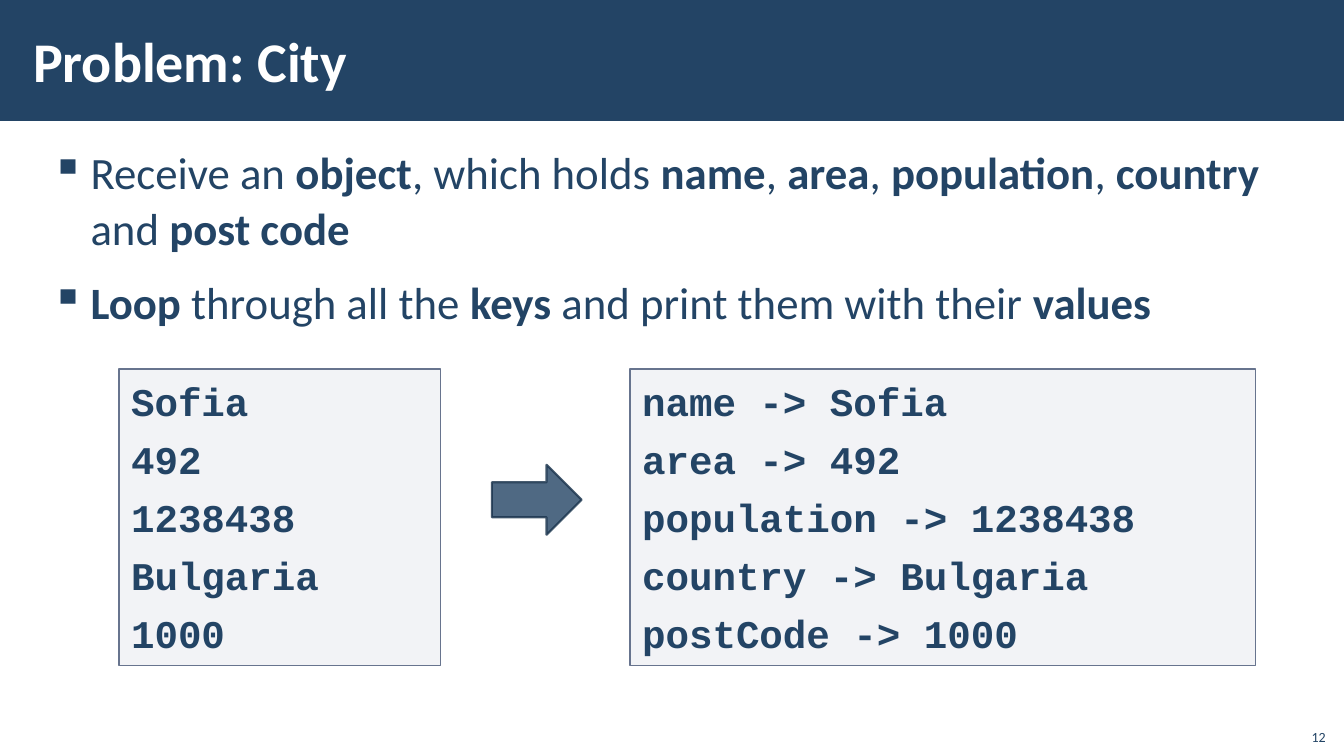
from lxml.etree import SubElement
from pptx import Presentation
from pptx.dml.color import RGBColor
from pptx.enum.shapes import MSO_SHAPE as Preset
from pptx.enum.text import MSO_ANCHOR as Anchor, PP_ALIGN as Align
from pptx.oxml.ns import qn
from pptx.util import Pt

COLORS = {
    "navy": "234465",
    "white": "FFFFFF",
    "panel": "ADB4C3",
    "panel_line": "67748E",
    "arrow_line": "1A334C",
}


def add_filled(preset, box, fill, opacity=100, line=None, line_width=1, line_opacity=100):
    """Add a shadowless preset shape; box is left, top, width, height in points."""
    shape = slide.shapes.add_shape(preset, *map(Pt, box))
    shape.shadow.inherit = False
    shape.fill.solid()
    shape.fill.fore_color.rgb = RGBColor.from_string(COLORS[fill])
    if line:
        shape.line.color.rgb = RGBColor.from_string(COLORS[line])
        shape.line.width = Pt(line_width)
    else:
        shape.line.fill.background()
    properties = shape._element.spPr
    for holder, percent in ((properties, opacity), (properties.find(qn("a:ln")), line_opacity)):
        if percent < 100:
            color = holder.find(qn("a:solidFill"))[0]
            SubElement(color, qn("a:alpha"), val=str(percent * 1000))
    return shape


def write_paragraphs(shape, lines, size, font="Calibri", color="navy", bold=None,
                     inset=(8.64, 2.88), anchor=Anchor.TOP, align=Align.LEFT):
    """Write one paragraph per line; parts between asterisks become bold."""
    frame = shape.text_frame
    frame.word_wrap = True
    frame.vertical_anchor = anchor
    frame.margin_left = frame.margin_right = Pt(inset[0])
    frame.margin_top = frame.margin_bottom = Pt(inset[1])
    for index, line in enumerate(lines):
        paragraph = frame.add_paragraph() if index else frame.paragraphs[0]
        paragraph.alignment = align
        paragraph.font.name = font
        paragraph.font.size = Pt(size)
        paragraph.font.bold = bold
        paragraph.font.color.rgb = RGBColor.from_string(COLORS[color])
        for position, part in enumerate(line.split("*")):
            if part:
                run = paragraph.add_run()
                run.text = part
                if position % 2:
                    run.font.bold = True
    return frame.paragraphs


presentation = Presentation()
presentation.slide_width = Pt(960)
presentation.slide_height = Pt(540)
slide = presentation.slides.add_slide(presentation.slide_layouts[6])

# Title bar
add_filled(Preset.RECTANGLE, (0, 0, 960, 86.4), "navy")
title = slide.shapes.add_textbox(Pt(15), Pt(8), Pt(765), Pt(70))
write_paragraphs(title, ["Problem: City"], 40, color="white", bold=True, anchor=Anchor.MIDDLE)

# Task description
task = slide.shapes.add_textbox(Pt(28), Pt(98.6), Pt(904), Pt(162))
bullets = write_paragraphs(task, [
    "Receive an *object*, which holds *name*, *area*, *population*, *country* and *post code*",
    "*Loop* through all the *keys* and print them with their *values*",
], 32)
for paragraph in bullets:
    paragraph.line_spacing = 1.05
    paragraph.space_before = paragraph.space_after = Pt(6)
    properties = paragraph._p.get_or_add_pPr()
    properties.set("marL", str(Pt(28)))
    properties.set("indent", str(-Pt(28)))
    bullet = properties.makeelement(qn("a:buChar"), {"char": "▪"})
    properties.find(qn("a:defRPr")).addprevious(bullet)

# Input and output panels
city = {
    "name": "Sofia",
    "area": "492",
    "population": "1238438",
    "country": "Bulgaria",
    "postCode": "1000",
}
panels = [
    (85, 229.5, city.values()),
    (450, 447, [f"{key} -> {value}" for key, value in city.items()]),
]
for left, width, lines in panels:
    panel = add_filled(Preset.RECTANGLE, (left, 263.5, width, 212), "panel", 15, "panel_line")
    for paragraph in write_paragraphs(panel, lines, 28, "Courier New", bold=True, inset=(8.64, 5.76)):
        paragraph.space_before = Pt(6)
        paragraph.space_after = Pt(1.9)

add_filled(Preset.RIGHT_ARROW, (351.4, 332, 64, 50), "navy", 80, "arrow_line", 1.5, 80)

# Slide number
number = slide.shapes.add_textbox(Pt(925), Pt(512.6), Pt(29), Pt(23))
write_paragraphs(number, ["12"], 10, inset=(7.2, 3.6), anchor=Anchor.BOTTOM, align=Align.RIGHT)

presentation.save("out.pptx")
